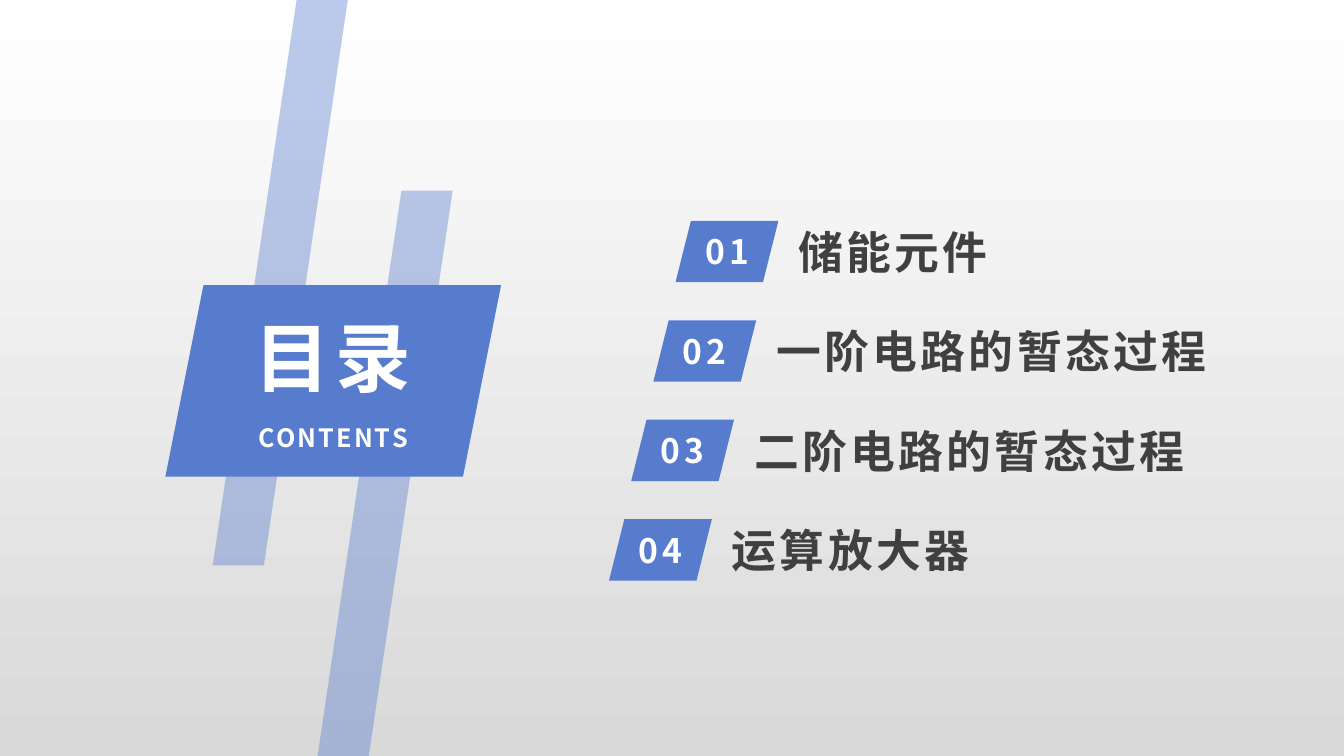
from pptx import Presentation
from pptx.dml.color import RGBColor
from pptx.enum.shapes import MSO_SHAPE
from pptx.enum.text import MSO_ANCHOR, PP_ALIGN
from pptx.oxml.ns import qn
from pptx.util import Inches, Pt
from lxml.etree import SubElement

BLUE, DARK, WHITE, GRAY = "577CCE", "404040", "FFFFFF", "D9D9D9"


def color(value):
    return RGBColor.from_string(value)


class Page:
    font_name = "Noto Sans CJK SC"

    def __init__(self, deck):
        self.slide = deck.slides.add_slide(deck.slide_layouts[6])

    def background(self, top, bottom):
        fill = self.slide.background.fill
        fill.gradient()
        fill.gradient_angle = 270
        for stop, position, value in zip(fill.gradient_stops, (0, 1), (top, bottom)):
            stop.position = position
            stop.color.rgb = color(value)

    def parallelogram(self, left, top, width, height, slant=0.25, opacity=100):
        shape = self.slide.shapes.add_shape(
            MSO_SHAPE.PARALLELOGRAM, *map(Inches, (left, top, width, height)))
        shape.adjustments[0] = slant
        shape.shadow.inherit = False
        shape.fill.solid()
        shape.fill.fore_color.rgb = color(BLUE)
        shape.line.fill.background()
        if opacity < 100:
            tint = shape.fill._xPr.find(".//" + qn("a:srgbClr"))
            SubElement(tint, qn("a:alpha"), val=str(opacity * 1000))

    def text(self, words, left, top, width, height, size, spacing,
             ink=WHITE, inset=None, **para_format):
        box = self.slide.shapes.add_textbox(*map(Inches, (left, top, width, height)))
        frame = box.text_frame
        frame.word_wrap = True
        frame.vertical_anchor = MSO_ANCHOR.MIDDLE
        if inset is not None:
            for side in ("left", "right", "top", "bottom"):
                setattr(frame, "margin_" + side, Inches(inset))
        para = frame.paragraphs[0]
        for name, value in para_format.items():
            setattr(para, name, value)
        span = para.add_run()
        span.text = words
        font_format = {"size": Pt(size), "bold": True, "name": self.font_name}
        for name, value in font_format.items():
            setattr(span.font, name, value)
        span.font.color.rgb = color(ink)
        properties = span._r.get_or_add_rPr()
        properties.set("spc", str(round(spacing * 100)))
        SubElement(properties, qn("a:ea"), typeface=self.font_name)

    def chapter(self, number, title, left, top):
        """Place a numbered badge with its title to the right."""
        self.parallelogram(left, top, 1.02, 0.61)
        self.text(title, left + 1.12, top - 0.1, 4.52, 0.81, 32, 2.4,
                  ink=DARK, space_after=Pt(8))
        self.text(f"{number:02}", left + 0.22, top, 0.58, 0.61, 24, 3,
                  inset=0, alignment=PP_ALIGN.CENTER)


def main():
    deck = Presentation()
    deck.slide_width, deck.slide_height = Inches(13.33), Inches(7.5)
    page = Page(deck)
    page.background(WHITE, GRAY)

    for left, top in ((2.11, 0), (3.15, 1.89)):
        page.parallelogram(left, top, 1.34, 5.61, slant=0.621, opacity=40)
    page.parallelogram(1.64, 2.83, 3.33, 1.9, slant=0.199)
    page.text("目录", 2.22, 3.01, 2.17, 1.05, 54, 3.8, alignment=PP_ALIGN.CENTER)
    page.text("CONTENTS", 2.22, 4.06, 2.17, 0.49, 18, 1.5,
              alignment=PP_ALIGN.CENTER, line_spacing=1.2)

    chapters = ("储能元件", "一阶电路的暂态过程", "二阶电路的暂态过程", "运算放大器")
    for row, title in enumerate(chapters):
        page.chapter(row + 1, title, 6.7 - 0.22 * row, 2.19 + 0.987 * row)

    deck.save("out.pptx")


if __name__ == "__main__":
    main()
